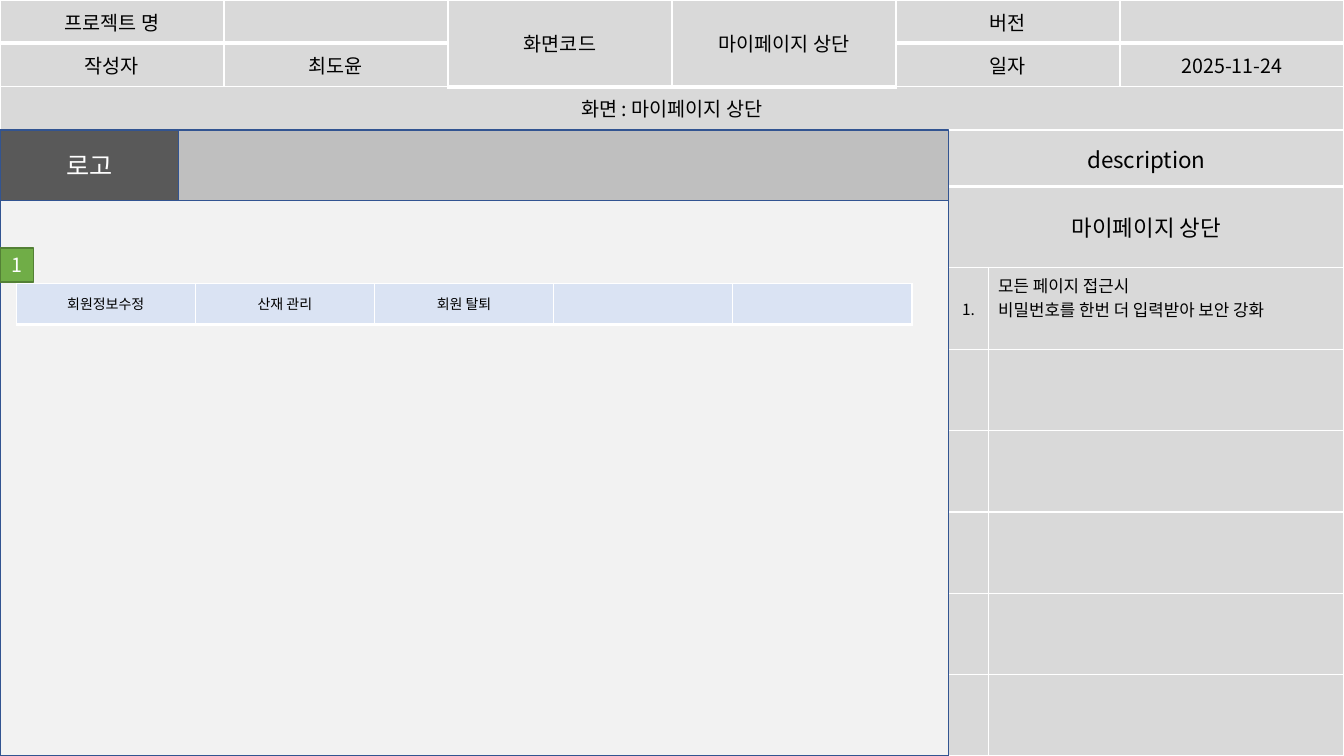
from dataclasses import dataclass, field

from lxml import etree
from pptx import Presentation
from pptx import util as u
from pptx.dml.color import RGBColor
from pptx.enum import shapes, text
from pptx.oxml.ns import qn


@dataclass(frozen=True)
class Theme:
    font: str = "Noto Sans CJK KR"
    black: str = "000000"
    white: str = "FFFFFF"
    panel: str = "D9D9D9"
    banner: str = "BFBFBF"
    logo: str = "595959"
    canvas: str = "F2F2F2"
    outline: str = "325491"
    tab: str = "DAE3F3"
    marker: str = "70AD47"
    marker_line: str = "538035"
    tiny: int = 10
    small: int = 11
    note: int = 12
    body: int = 14
    title: int = 16
    logo_size: int = 18


T = Theme()
WIDTH, HEIGHT = u.Inches(13.33), u.Inches(7.5)
MIDDLE, TOP = text.MSO_ANCHOR.MIDDLE, text.MSO_ANCHOR.TOP
CENTER, LEFT = text.PP_ALIGN.CENTER, text.PP_ALIGN.LEFT

# Shares of the slide, in percent of its width or height
SPLIT_X = 70.59
LOGO_W = 13.28
BANNER_Y = 17.2
BANNER_H = 9.33
TAB_H = 5.47
DESC_HEAD_H = 7.47
DESC_ROW_H = (100 - BANNER_Y - DESC_HEAD_H) / 7


@dataclass(frozen=True)
class Box:
    x: float
    y: float
    w: float
    h: float
    fill: str
    line: str = T.outline
    label: str = ""
    size: int = T.body


@dataclass(frozen=True)
class Entry:
    row: int
    col: int
    label: str
    size: int = T.body
    anchor: text.MSO_ANCHOR = MIDDLE
    align: text.PP_ALIGN = CENTER


@dataclass(frozen=True)
class Grid:
    x: float
    y: float
    cols: list[float]
    rows: list[float]
    fill: str
    entries: list[Entry]
    merges: list[tuple[int, int, int, int]] = field(default_factory=list)
    empty_size: int = T.body


# The three header rows fill the space above the banner exactly
HEADER = Grid(
    0, 0, [100 / 6] * 6, [BANNER_Y / 3] * 3, T.panel,
    [
        Entry(0, 0, "프로젝트 명"),
        Entry(0, 2, "화면코드"),
        Entry(0, 3, "마이페이지 상단"),
        Entry(0, 4, "버전"),
        Entry(1, 0, "작성자"),
        Entry(1, 1, "최도윤"),
        Entry(1, 4, "일자"),
        Entry(1, 5, "2025-11-24"),
        Entry(2, 0, "화면 : 마이페이지 상단"),
    ],
    merges=[(0, 2, 1, 2), (0, 3, 1, 3), (2, 0, 2, 5)],
)
DESCRIPTION = Grid(
    SPLIT_X, BANNER_Y, [2.93, 100 - SPLIT_X - 2.93],
    [DESC_HEAD_H] + [DESC_ROW_H] * 7, T.panel,
    [
        Entry(0, 0, "description", T.title),
        Entry(1, 0, "마이페이지 상단", T.title),
        Entry(2, 0, "1.", T.small),
        Entry(2, 1, "모든 페이지 접근시\n비밀번호를 한번 더 입력받아 보안 강화",
              T.note, TOP, LEFT),
    ],
    merges=[(0, 0, 0, 1), (1, 0, 1, 1)],
)
TABS = Grid(
    1.2, 37.47, [66.67 / 5] * 5, [TAB_H], T.tab,
    [Entry(0, col, label, T.tiny)
     for col, label in enumerate(["회원정보수정", "산재 관리", "회원 탈퇴"])],
    empty_size=T.tiny,
)
BANNER = Box(LOGO_W, BANNER_Y, SPLIT_X - LOGO_W, BANNER_H, T.banner)
LOGO = Box(0, BANNER_Y, LOGO_W, BANNER_H, T.logo, label="로고", size=T.logo_size)
CANVAS = Box(0, BANNER_Y + BANNER_H, SPLIT_X, 100 - BANNER_Y - BANNER_H, T.canvas)
MARKER = Box(0, 32.8, 2.48, 4.53, T.marker, T.marker_line, "1")


def across(share: float) -> int:
    return round(WIDTH * share / 100)


def down(share: float) -> int:
    return round(HEIGHT * share / 100)


def write(tf, label: str, size: int, color: str, align=CENTER) -> None:
    formats = {"name": T.font, "size": u.Pt(size), "bold": False}
    for i, line in enumerate(label.split("\n")):
        p = tf.add_paragraph() if i else tf.paragraphs[0]
        p.alignment = align
        r = p.add_run()
        r.text = line
        r.font.color.rgb = RGBColor.from_string(color)
        for name, value in formats.items():
            setattr(r.font, name, value)
        etree.SubElement(r.font._element, qn("a:ea"), typeface=T.font)


def add_borders(cell, sides: dict[str, int]) -> None:
    """Put white lines, given as side: points, ahead of the cell's fill."""
    tc_pr = cell._tc.get_or_add_tcPr()
    for i, (side, points) in enumerate(sides.items()):
        ln = etree.Element(qn(f"a:ln{side}"), w=str(u.Pt(points)))
        solid = etree.SubElement(ln, qn("a:solidFill"))
        etree.SubElement(solid, qn("a:srgbClr"), val=T.white)
        tc_pr.insert(i, ln)


def add_box(slide, box: Box) -> None:
    sp = slide.shapes.add_shape(shapes.MSO_SHAPE.RECTANGLE, across(box.x),
                                down(box.y), across(box.w), down(box.h))
    sp.shadow.inherit = False
    sp.fill.solid()
    sp.fill.fore_color.rgb = RGBColor.from_string(box.fill)
    sp.line.color.rgb = RGBColor.from_string(box.line)
    sp.line.width = u.Pt(1)
    if box.label:
        sp.text_frame.vertical_anchor = MIDDLE
        write(sp.text_frame, box.label, box.size, T.white)


def add_grid(slide, grid: Grid) -> None:
    table = slide.shapes.add_table(
        len(grid.rows), len(grid.cols), across(grid.x), down(grid.y),
        across(sum(grid.cols)), down(sum(grid.rows))).table
    table.horz_banding = False
    for column, share in zip(table.columns, grid.cols):
        column.width = across(share)
    for row, share in zip(table.rows, grid.rows):
        row.height = down(share)
    for top, left, bottom, right in grid.merges:
        table.cell(top, left).merge(table.cell(bottom, right))

    entries = {(e.row, e.col): e for e in grid.entries}
    for row in range(len(grid.rows)):
        for col in range(len(grid.cols)):
            cell = table.cell(row, col)
            cell.fill.solid()
            cell.fill.fore_color.rgb = RGBColor.from_string(grid.fill)
            sides = {"L": 1, "R": 1, "T": 1 if row != 1 else 3,
                     "B": 1 if row else 3}
            add_borders(cell, sides)
            entry = entries.get((row, col))
            if entry:
                cell.vertical_anchor = entry.anchor
                write(cell.text_frame, entry.label, entry.size, T.black, entry.align)
            else:
                end = cell.text_frame.paragraphs[0]._p.get_or_add_endParaRPr()
                end.set("sz", str(grid.empty_size * 100))


def main() -> None:
    prs = Presentation()
    prs.slide_width, prs.slide_height = WIDTH, HEIGHT
    slide = prs.slides.add_slide(prs.slide_layouts[6])
    for grid in (HEADER, DESCRIPTION):
        add_grid(slide, grid)
    for box in (BANNER, LOGO, CANVAS):
        add_box(slide, box)
    add_grid(slide, TABS)
    add_box(slide, MARKER)
    prs.save("out.pptx")


if __name__ == "__main__":
    main()
